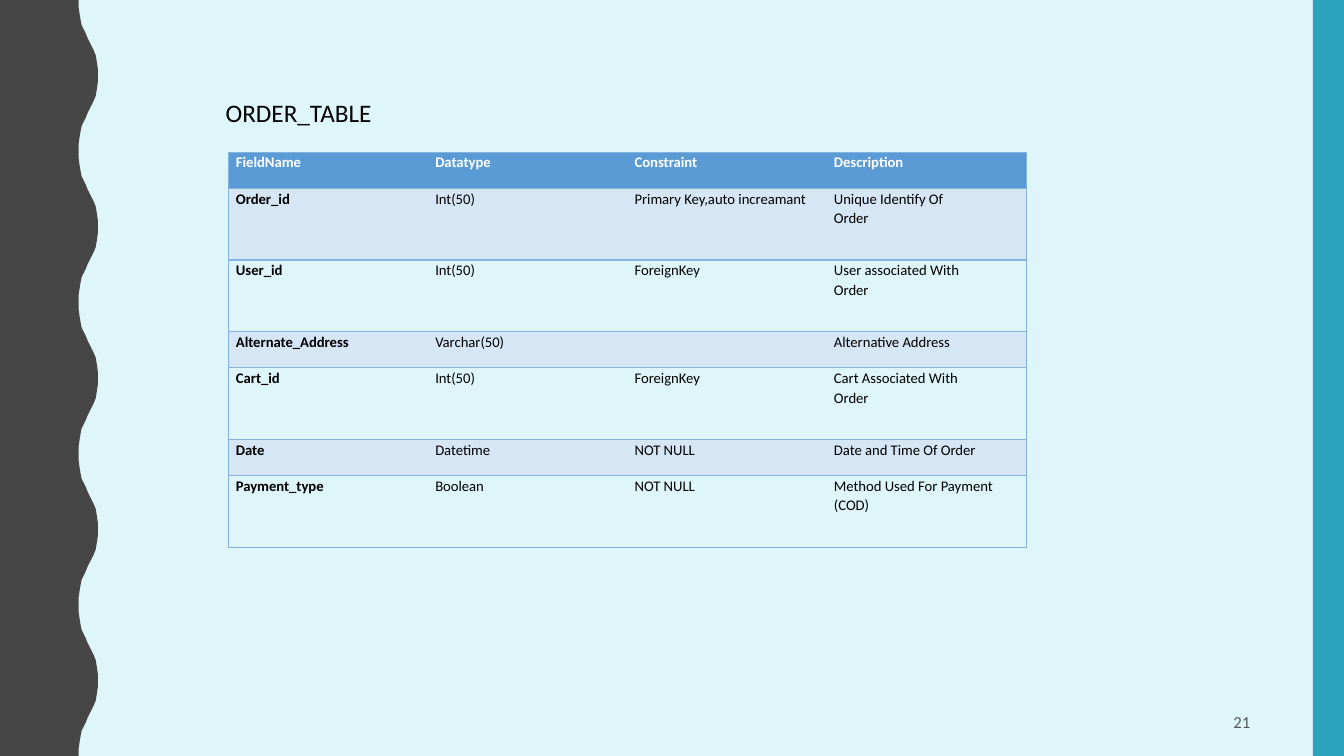
from dataclasses import dataclass

from lxml import etree
from pptx import Presentation
from pptx.dml.color import RGBColor
from pptx.enum.shapes import MSO_SHAPE
from pptx.enum.text import MSO_ANCHOR, PP_ALIGN
from pptx.oxml.ns import qn
from pptx.util import Inches, Pt

RECTANGLE = MSO_SHAPE.RECTANGLE
MIDDLE, TOP = MSO_ANCHOR.MIDDLE, MSO_ANCHOR.TOP
LEFT, RIGHT = PP_ALIGN.LEFT, PP_ALIGN.RIGHT
NO_TABLE_STYLE = "{2D5ABB26-0587-4C30-8999-92F81FD0307C}"

SLIDE_WIDTH, SLIDE_HEIGHT = 13.33, 7.5
WAVE_PERIOD = 1.5
# Half a wave from trough to crest, as (x, y)
RISING_EDGE = [
    (0.78, 0), (0.78, 0.07), (0.79, 0.14), (0.8, 0.2), (0.81, 0.25),
    (0.83, 0.29), (0.85, 0.33), (0.87, 0.38), (0.89, 0.42), (0.91, 0.46),
    (0.93, 0.5), (0.95, 0.55), (0.96, 0.61), (0.97, 0.68), (0.97, 0.75),
]

HEADER = ("FieldName", "Datatype", "Constraint", "Description")
FIELDS = [
    ("Order_id", "Int(50)", "Primary Key,auto increamant", "Unique Identify Of\nOrder"),
    ("User_id", "Int(50)", "ForeignKey", "User associated With\nOrder"),
    ("Alternate_Address", "Varchar(50)", "", "Alternative Address"),
    ("Cart_id", "Int(50)", "ForeignKey", "Cart Associated With\nOrder"),
    ("Date", "Datetime", "NOT NULL", "Date and Time Of Order"),
    ("Payment_type", "Boolean", "NOT NULL", "Method Used For Payment (COD)"),
]
ROW_HEIGHTS = [0.36, 0.71, 0.71, 0.36, 0.71, 0.36, 0.71]


@dataclass(frozen=True)
class Theme:
    font: str = "Calibri"
    background: str = "DEF5FA"
    wave: str = "464646"
    side_band: str = "2DA2BF"
    header_fill: str = "5B9BD5"
    band_fill: str = "D6E6F4"
    border: str = "84B3DF"
    header_text: str = "FFFFFF"
    text: str = "000000"
    number_text: str = "595959"
    title_size: float = 18
    table_size: float = 10.5
    number_size: float = 12


def wave_edge():
    falling = [(x, WAVE_PERIOD - y) for x, y in reversed(RISING_EDGE[1:-1])]
    waves = int(SLIDE_HEIGHT / WAVE_PERIOD)
    edge = [(x, y + wave * WAVE_PERIOD)
            for wave in range(waves) for x, y in RISING_EDGE + falling]
    return edge + [(RISING_EDGE[0][0], SLIDE_HEIGHT)]


class SlideBuilder:
    def __init__(self, slide, theme):
        self.slide = slide
        self.theme = theme
        self.paint(slide.background.fill, theme.background)

    def paint(self, fill, color):
        fill.solid()
        fill.fore_color.rgb = RGBColor.from_string(color)

    def finish(self, shape, color):
        self.paint(shape.fill, color)
        shape.line.fill.background()
        shape.shadow.inherit = False

    def outline(self, points, color):
        start, *others = [(Inches(x), Inches(y)) for x, y in points]
        builder = self.slide.shapes.build_freeform(*start)
        builder.add_line_segments(others, close=True)
        self.finish(builder.convert_to_shape(), color)

    def rectangle(self, box, color):
        shape = self.slide.shapes.add_shape(RECTANGLE, *map(Inches, box))
        self.finish(shape, color)

    def set_text(self, frame, text, size, color, bold=False, align=LEFT, spacing=None):
        frame.text = text
        for paragraph in frame.paragraphs:
            paragraph.alignment = align
            paragraph.line_spacing = spacing
            for run in paragraph.runs:
                run.font.name = self.theme.font
                run.font.size = Pt(size)
                run.font.bold = bold
                run.font.color.rgb = RGBColor.from_string(color)

    def label(self, box, text, size, color, align=LEFT, anchor=TOP, wrap=True):
        frame = self.slide.shapes.add_textbox(*map(Inches, box)).text_frame
        frame.word_wrap = wrap
        frame.vertical_anchor = anchor
        self.set_text(frame, text, size, color, align=align)

    def border(self, cell, sides):
        """Draw the given sides, which must be in the order L, R, T, B."""
        properties = cell._tc.get_or_add_tcPr()
        for side in sides:
            line = etree.SubElement(properties, qn(f"a:ln{side}"), w=str(Pt(1)))
            fill = etree.SubElement(line, qn("a:solidFill"))
            etree.SubElement(fill, qn("a:srgbClr"), val=self.theme.border)

    def table(self, box, rows, heights):
        theme = self.theme
        columns = len(rows[0])
        graphic = self.slide.shapes.add_table(len(rows), columns, *map(Inches, box))
        next(graphic.element.iter(qn("a:tableStyleId"))).text = NO_TABLE_STYLE
        table = graphic.table
        table.first_row = table.horz_banding = False
        for row, height in zip(table.rows, heights):
            row.height = Inches(height)
        for r, texts in enumerate(rows):
            is_header = r == 0
            for c, text in enumerate(texts):
                cell = table.cell(r, c)
                cell.margin_left = cell.margin_right = Inches(0.07)
                cell.margin_top = cell.margin_bottom = 0
                sides = {0: "LTB", columns - 1: "RTB"}.get(c, "TB")
                self.border(cell, sides)
                if is_header:
                    self.paint(cell.fill, theme.header_fill)
                elif r % 2:
                    self.paint(cell.fill, theme.band_fill)
                else:
                    cell.fill.background()
                color = theme.header_text if is_header else theme.text
                self.set_text(cell.text_frame, text, theme.table_size, color,
                              bold=is_header or c == 0, spacing=1.1)


def main():
    deck = Presentation()
    deck.slide_width, deck.slide_height = Inches(SLIDE_WIDTH), Inches(SLIDE_HEIGHT)
    theme = Theme()
    page = SlideBuilder(deck.slides.add_slide(deck.slide_layouts[6]), theme)

    page.outline([(0, 0), *wave_edge(), (0, SLIDE_HEIGHT)], theme.wave)
    page.rectangle((13.02, 0, 0.31, SLIDE_HEIGHT), theme.side_band)
    page.label((2.14, 0.92, 1.66, 0.4), "ORDER_TABLE", theme.title_size, theme.text,
               wrap=False)
    page.table((2.27, 1.51, 7.91, 3.92), [HEADER, *FIELDS], ROW_HEIGHTS)
    page.label((9.42, 6.97, 3.08, 0.38), "21", theme.number_size, theme.number_text,
               align=RIGHT, anchor=MIDDLE)
    deck.save("out.pptx")


if __name__ == "__main__":
    main()
